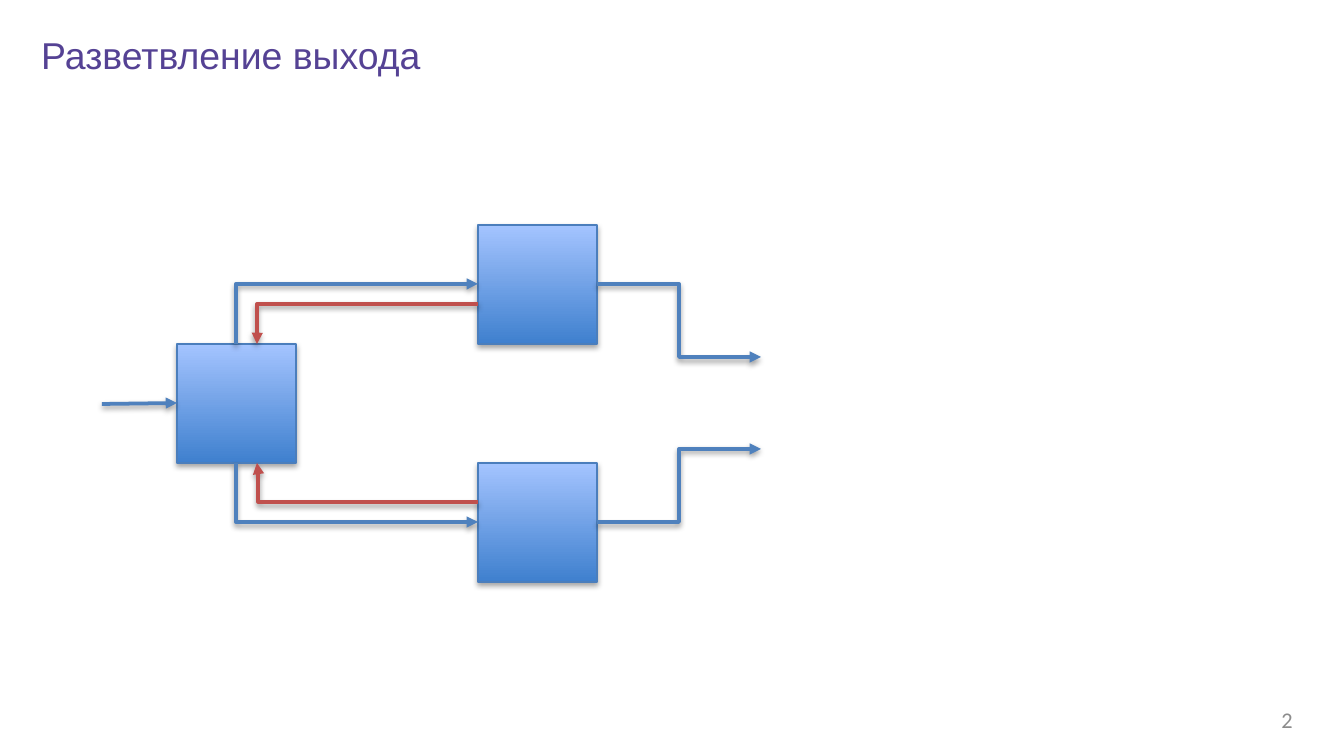
"""Build the slide about splitting one output into two branches."""
from dataclasses import dataclass

from lxml import etree
from pptx import Presentation
from pptx import util as u
from pptx.dml.color import RGBColor
from pptx.enum import shapes, text
from pptx.oxml.ns import qn

SCALE = 914400 / 134.4


@dataclass(frozen=True)
class Theme:
    """Colours, fonts and sizes of the slide."""
    title: str = "554294"
    number: str = "8C8C8C"
    box_bottom: str = "3F80CE"
    box_top: str = "A4C4FF"
    box_line: str = "4B7EBC"
    forward: str = "4F81BD"
    feedback: str = "C0504D"
    title_font: str = "Arial"
    number_font: str = "Calibri"
    title_size: int = 20
    number_size: int = 12
    box_width: float = 0.75
    arrow_width: int = 2


THEME = Theme()


def px(length):
    """Turn pixels into EMU."""
    return u.Emu(round(length * SCALE))


def rgb(colour):
    """Turn a hex string into a colour."""
    return RGBColor.from_string(colour)


def add_shadow(properties, opacity, distance):
    """Give shape properties a soft shadow that falls straight down."""
    effects = properties.find(qn("a:effectLst"))
    if effects is None:
        effects = etree.SubElement(properties, qn("a:effectLst"))
    shadow = etree.SubElement(
        effects, qn("a:outerShdw"), blurRad=str(u.Pt(3.1)),
        dist=str(u.Pt(distance)), dir="5400000", rotWithShape="0")
    colour = etree.SubElement(shadow, qn("a:srgbClr"), val="000000")
    etree.SubElement(colour, qn("a:alpha"), val=str(opacity * 1000))


def add_text(slide, frame, words, font, size, colour,
             align=text.PP_ALIGN.LEFT, anchor=text.MSO_ANCHOR.TOP):
    """Add a text box with one run."""
    text_frame = slide.shapes.add_textbox(*map(px, frame)).text_frame
    text_frame.word_wrap = True
    text_frame.vertical_anchor = anchor
    paragraph = text_frame.paragraphs[0]
    paragraph.alignment = align
    run = paragraph.add_run()
    run.text = words
    run.font.name = font
    run.font.size = u.Pt(size)
    run.font.color.rgb = rgb(colour)


def add_box(slide, left, top, side):
    """Add a square block with a vertical gradient."""
    shape = slide.shapes.add_shape(
        shapes.MSO_SHAPE.RECTANGLE, *map(px, (left, top, side, side)))
    shape.fill.gradient()
    shape.fill.gradient_angle = 90
    for stop, colour in zip(shape.fill.gradient_stops,
                            (THEME.box_bottom, THEME.box_top)):
        stop.color.rgb = rgb(colour)
    shape.line.color.rgb = rgb(THEME.box_line)
    shape.line.width = u.Pt(THEME.box_width)
    shape.shadow.inherit = False
    add_shadow(shape._element.spPr, 35, 1.8)


def add_arrow(slide, start, end, colour=THEME.forward,
              kind=shapes.MSO_CONNECTOR.ELBOW):
    """Add a connector with an arrowhead at its end."""
    connector = slide.shapes.add_connector(kind, *map(px, (*start, *end)))
    connector.line.color.rgb = rgb(colour)
    connector.line.width = u.Pt(THEME.arrow_width)
    etree.SubElement(connector.line._get_or_add_ln(), qn("a:tailEnd"),
                     type="triangle")
    add_shadow(connector._element.spPr, 38, 1.6)
    return connector


def add_corner_arrow(slide, start, end):
    """Add an arrow that leaves vertically and turns right once."""
    (x1, y1), (x2, y2) = start, end
    middle_x, middle_y = (x1 + x2) / 2, (y1 + y2) / 2
    across, along = abs(y2 - y1) / 2, (x2 - x1) / 2
    side = 1 if y2 < y1 else -1
    connector = add_arrow(
        slide, (middle_x + across, middle_y + side * along),
        (middle_x - across, middle_y - side * along))
    properties = connector._element.spPr
    angle = 90 if side == 1 else 270
    properties.find(qn("a:xfrm")).set("rot", str(angle * 60000))
    properties.find(qn("a:prstGeom")).set("prst", "bentConnector2")


def add_feedback_arrow(slide, start, end, bend):
    """Add a feedback arrow that bends at a share of its width."""
    connector = add_arrow(slide, start, end, THEME.feedback)
    geometry = connector._element.spPr.find(qn("a:prstGeom"))
    guides = geometry.find(qn("a:avLst"))
    if guides is None:
        guides = etree.SubElement(geometry, qn("a:avLst"))
    etree.SubElement(guides, qn("a:gd"), name="adj1",
                     fmla=f"val {round(bend * 100000)}")


def main():
    """Build and save the slide."""
    presentation = Presentation()
    presentation.slide_width, presentation.slide_height = px(1344), px(756)
    slide = presentation.slides.add_slide(presentation.slide_layouts[6])

    add_text(slide, (28, 26, 938, 59), "Разветвление выхода",
             THEME.title_font, THEME.title_size, THEME.title)
    add_text(slide, (993, 700, 313, 40), "2", THEME.number_font,
             THEME.number_size, THEME.number, text.PP_ALIGN.RIGHT,
             text.MSO_ANCHOR.MIDDLE)

    side, source_left, branch_left, source_top = 119, 177, 478, 344
    source_middle = source_left + side // 2
    centre = source_top + side // 2
    add_box(slide, source_left, source_top, side)
    for direction in (-1, 1):
        add_box(slide, branch_left, source_top + direction * side, side)

    add_arrow(slide, (102, centre + 1), (source_left, centre),
              kind=shapes.MSO_CONNECTOR.STRAIGHT)
    for direction, edge, bend in ((-1, source_top, 0.999),
                                  (1, source_top + side, 0.994)):
        level = centre + direction * side
        feedback_level = level - direction * 20
        add_corner_arrow(slide, (source_middle, edge), (branch_left, level))
        add_feedback_arrow(slide, (branch_left, feedback_level),
                           (source_middle + 21, edge), bend)
        add_arrow(slide, (branch_left + side, level),
                  (761, centre + direction * 46))

    presentation.save("out.pptx")


if __name__ == "__main__":
    main()
